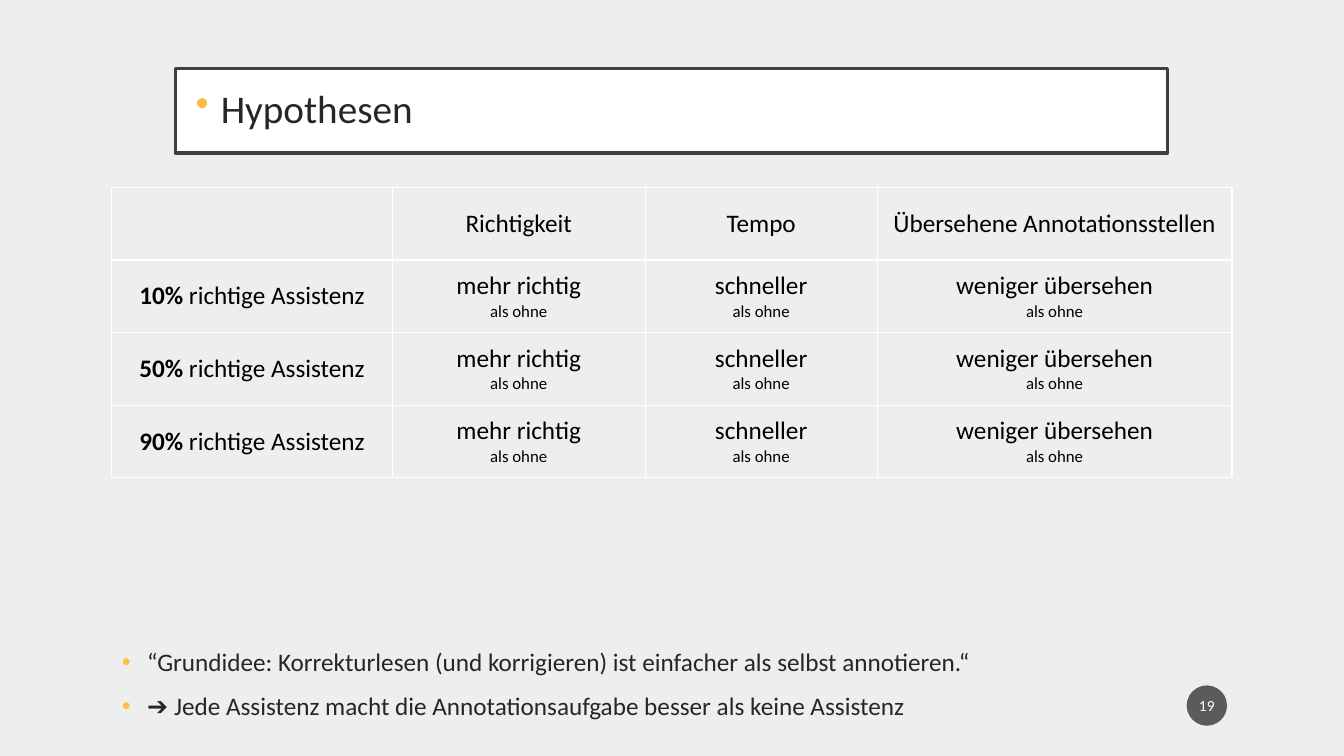
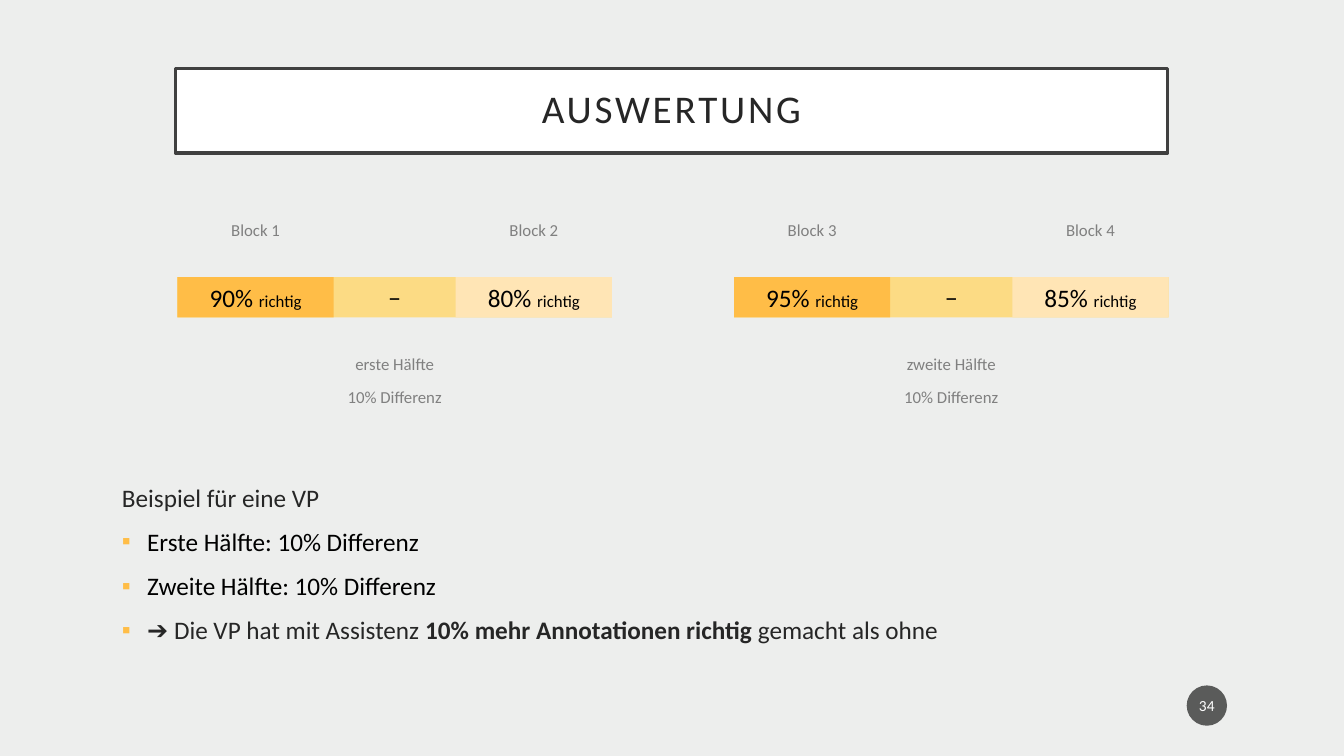
from pptx import Presentation
from pptx import util as u
from pptx.dml.color import RGBColor
from pptx.enum import shapes, text
from pptx.oxml.ns import qn
from lxml import etree

FONT = "Calibri"
BACK, INK, BLACK, GREY, WHITE = "EDEEED", "262626", "000000", "808080", "FFFFFF"
FRAME, BADGE, CELL = "404040", "1D1D1D", "EDEFED"
ORANGE, YELLOW, PALE = "FFBD47", "FCDB84", "FFE5B5"
CENTER, LEFT = text.PP_ALIGN.CENTER, text.PP_ALIGN.LEFT
TOP, MIDDLE, BOTTOM = text.MSO_ANCHOR.TOP, text.MSO_ANCHOR.MIDDLE, text.MSO_ANCHOR.BOTTOM

HEADER = ["", "Richtigkeit", "Tempo", "Übersehene Annotationsstellen"]
RATES = ["10%", "50%", "90%"]
CLAIMS = ["mehr richtig", "schneller", "weniger übersehen"]
COLUMNS, ROW = [2.78, 2.51, 2.3, 3.52], 0.72
IDEAS = [
    "“Grundidee: Korrekturlesen (und korrigieren) ist einfacher als selbst annotieren.“",
    "➔ Jede Assistenz macht die Annotationsaufgabe besser als keine Assistenz",
]
HALVES = [
    ("erste Hälfte", [("Block 1", "90% "), ("Block 2", "80% ")]),
    ("zweite Hälfte", [("Block 3", "95% "), ("Block 4", "85% ")]),
]
DIFFERENCE = "10% Differenz"
FINDINGS = [
    ([("Beispiel für eine VP", {})], None),
    ([("Erste Hälfte: 10% Differenz", {"color": BLACK})], "▪"),
    ([("Zweite Hälfte: 10% Differenz", {"color": BLACK})], "▪"),
    ([("➔ Die VP hat mit Assistenz ", {}),
      ("10% mehr Annotationen richtig ", {"bold": True}),
      ("gemacht als ohne", {})], "▪"),
]
BLOCK_LEFT, BLOCK_STEP, BLOCK_WIDTH = 1.76, 2.76, 1.55
HALF_WIDTH = BLOCK_STEP + BLOCK_WIDTH


def rgb(value):
    return RGBColor.from_string(value)


def assign(target, values):
    for name, value in values.items():
        setattr(target, name, value)


def child(parent, tag, **values):
    return etree.SubElement(parent, qn(tag), values)


def place(shape, left, top, width, height):
    assign(shape, {name: u.Inches(value) for name, value in
                   zip(("left", "top", "width", "height"), (left, top, width, height))})


def set_bullet(para, mark):
    props = para._p.get_or_add_pPr()
    indent = u.Inches(0.25) if mark else 0
    props.set("marL", str(indent))
    props.set("indent", str(-indent))
    if mark:
        child(child(props, "a:buClr"), "a:srgbClr", val=ORANGE)
        child(props, "a:buChar", char=mark)
    else:
        child(props, "a:buNone")


def write(frame, paras, size=18, color=INK, anchor=MIDDLE, inset=None, **format):
    assign(frame, {"word_wrap": True, "vertical_anchor": anchor})
    if inset is not None:
        assign(frame, {f"margin_{side}": u.Inches(inset)
                       for side in ("left", "top", "right", "bottom")})
    for index, spans in enumerate(paras):
        para = frame.add_paragraph() if index else frame.paragraphs[0]
        assign(para, {"alignment": CENTER, **format})
        for words, style in spans:
            span = para.add_run()
            span.text = words
            look = {"size": size, "color": color, "bold": False, **style}
            assign(span.font, {"name": FONT, "size": u.Pt(look["size"]), "bold": look["bold"]})
            span.font.color.rgb = rgb(look["color"])
    return frame.paragraphs


def add_box(page, kind, area, fill):
    box = page.shapes.add_shape(kind, *map(u.Inches, area))
    box.shadow.inherit = False
    box.fill.solid()
    box.fill.fore_color.rgb = rgb(fill)
    box.line.fill.background()
    return box


def add_bar(page, left, width, fill, spans):
    bar = add_box(page, shapes.MSO_SHAPE.RECTANGLE, (left, 2.75, width, 0.4), fill)
    write(bar.text_frame, [spans], color=BLACK)


def add_label(page, left, top, width, words):
    label = page.shapes.add_textbox(*map(u.Inches, (left, top, width, 0.3)))
    write(label.text_frame, [[(words, {})]], size=12, color=GREY, anchor=TOP)


def add_page(deck, title, number, spacing=None, mark=None):
    page = deck.slides.add_slide(deck.slide_layouts[1])
    box = page.shapes.title
    place(box, 1.74, 0.68, 9.84, 0.84)
    box.fill.solid()
    box.fill.fore_color.rgb = rgb(WHITE)
    box.line.color.rgb = rgb(FRAME)
    box.line.width = u.Pt(2.5)
    box.text_frame.auto_size = text.MSO_AUTO_SIZE.NONE
    para = write(box.text_frame, [[(title, {})]], size=28, inset=0.2, line_spacing=0.9,
                 alignment=LEFT if mark else CENTER,
                 space_before=u.Pt(10 if mark else 0))[0]
    if mark:
        set_bullet(para, mark)
    if spacing:
        para.runs[0]._r.get_or_add_rPr().set("spc", str(spacing))

    badge = add_box(page, shapes.MSO_SHAPE.OVAL, (11.77, 6.8, 0.4, 0.4), BADGE)
    for shade in badge._element.spPr.iter(qn("a:srgbClr")):
        child(shade, "a:alpha", val="70000")
    write(badge.text_frame, [[(number, {})]], size=11, color=WHITE, inset=0.02)
    return page


def fill_body(page, top, height, items, anchor):
    body = page.placeholders[1]
    place(body, 1.11, top, 10.47, height)
    body.text_frame.auto_size = text.MSO_AUTO_SIZE.NONE
    paras = write(body.text_frame, [spans for spans, mark in items], anchor=anchor,
                  alignment=LEFT, space_before=u.Pt(10))
    for para, (spans, mark) in zip(paras, items):
        set_bullet(para, mark)


def style_cell(cell, paras):
    write(cell.text_frame, paras, color=BLACK)
    cell.vertical_anchor = MIDDLE
    props = cell._tc.get_or_add_tcPr()
    for side in "LRTB":
        line = child(props, f"a:ln{side}", w=str(u.Pt(1)))
        child(child(line, "a:solidFill"), "a:srgbClr", val=WHITE)
    cell.fill.solid()
    cell.fill.fore_color.rgb = rgb(CELL)


def build_hypotheses(deck):
    page = add_page(deck, "Hypothesen", "19", mark="•")
    rows = [[[[(words, {})]] if words else [] for words in HEADER]]
    for rate in RATES:
        first = [[(rate, {"bold": True}), (" richtige Assistenz", {})]]
        rows.append([first] + [[[(claim, {})], [("als ohne", {"size": 12})]] for claim in CLAIMS])
    area = (1.11, 1.86, sum(COLUMNS), ROW * len(rows))
    table = page.shapes.add_table(len(rows), len(COLUMNS), *map(u.Inches, area)).table
    assign(table, {"first_row": False, "horz_banding": False})
    for column, width in zip(table.columns, COLUMNS):
        column.width = u.Inches(width)
    for row, cells in zip(table.rows, rows):
        row.height = u.Inches(ROW)
        for cell, paras in zip(row.cells, cells):
            style_cell(cell, paras)
    fill_body(page, 5.48, 1.72, [([(idea, {})], "•") for idea in IDEAS], BOTTOM)


def build_evaluation(deck):
    page = add_page(deck, "AUSWERTUNG", "34", spacing=200)
    for half, (name, blocks) in enumerate(HALVES):
        start = BLOCK_LEFT + half * 2 * BLOCK_STEP
        add_bar(page, start, HALF_WIDTH, YELLOW, [("−", {})])
        for index, (block, rate) in enumerate(blocks):
            left = start + index * BLOCK_STEP
            add_label(page, left, 2.13, BLOCK_WIDTH, block)
            add_bar(page, left, BLOCK_WIDTH, (ORANGE, PALE)[index],
                    [(rate, {}), ("richtig", {"size": 12})])
        for top, words in ((3.46, name), (3.79, DIFFERENCE)):
            add_label(page, start, top, HALF_WIDTH, words)
    fill_body(page, 4.73, 2.47, FINDINGS, TOP)


def main():
    deck = Presentation()
    assign(deck, {"slide_width": u.Inches(13.33), "slide_height": u.Inches(7.5)})
    back = deck.slide_master.background.fill
    back.solid()
    back.fore_color.rgb = rgb(BACK)
    build_hypotheses(deck)
    build_evaluation(deck)
    deck.save("out.pptx")


if __name__ == "__main__":
    main()
